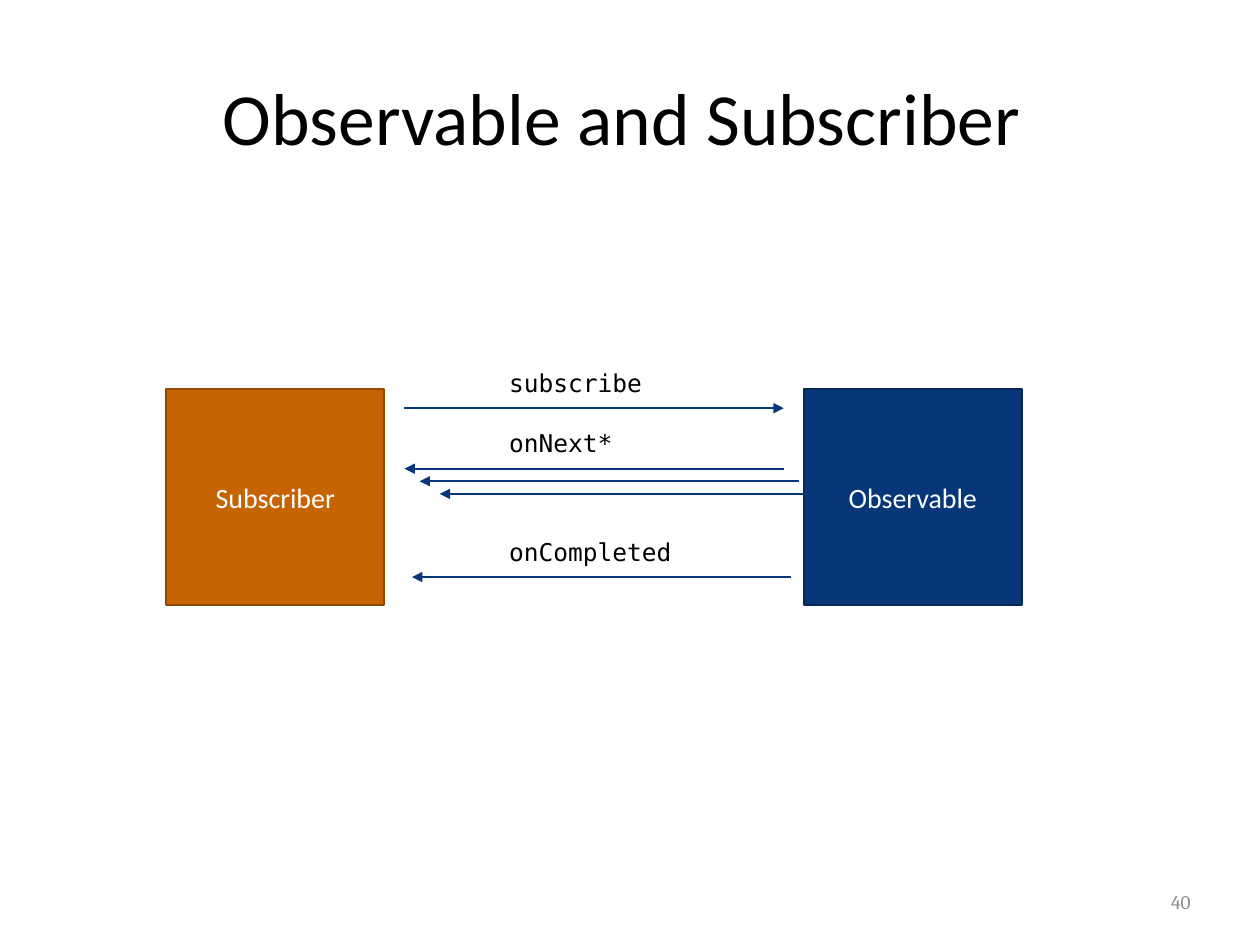
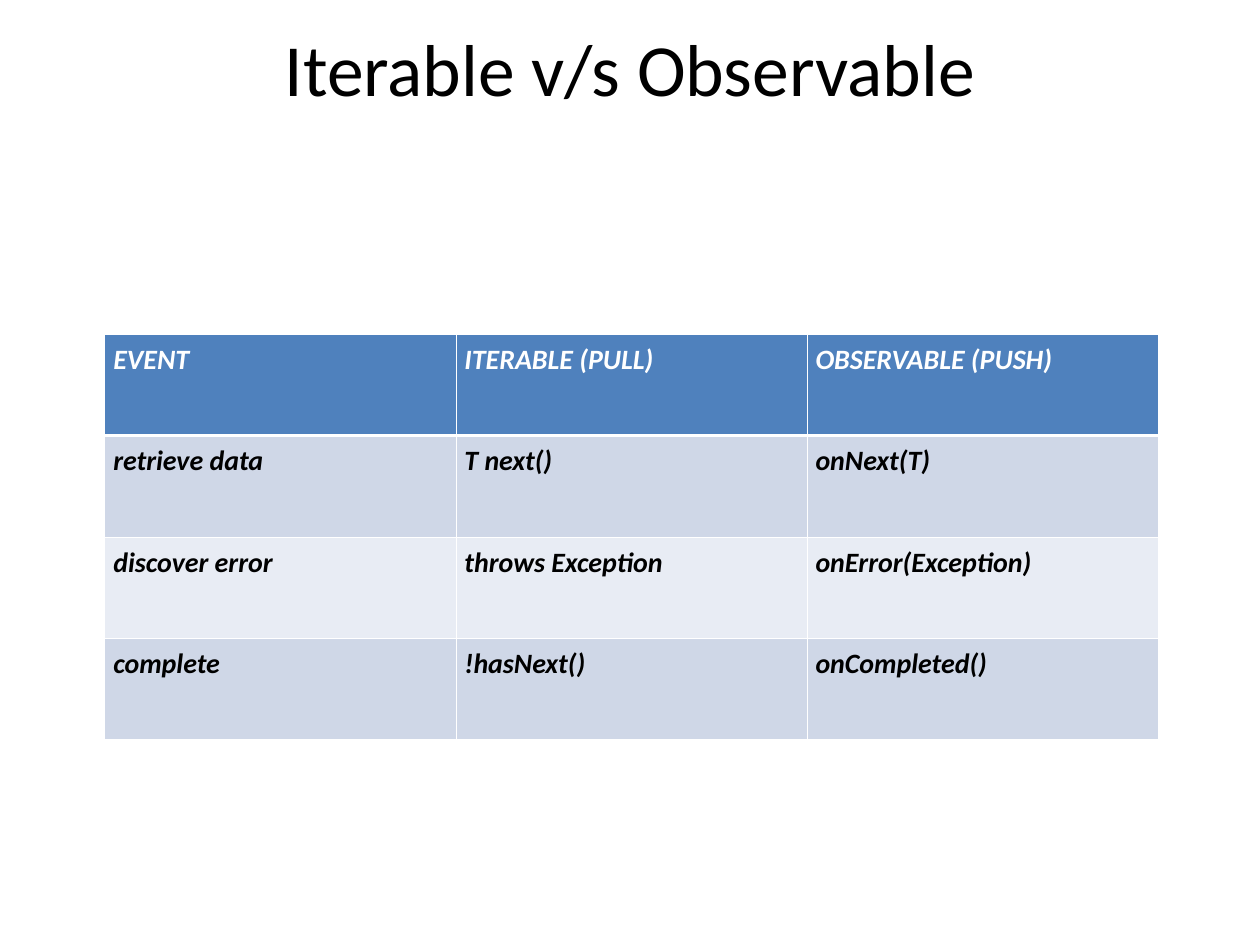
from lxml.etree import SubElement
from pptx import Presentation
from pptx.dml.color import RGBColor
from pptx.enum.shapes import MSO_CONNECTOR, MSO_SHAPE
from pptx.enum.text import MSO_ANCHOR, PP_ALIGN
from pptx.oxml.ns import qn
from pptx.util import Inches, Pt

# Shared look
BLACK, WHITE, GRAY = "000000", "FFFFFF", "888888"
NAVY, NAVY_EDGE = "073779", "052858"
ORANGE, ORANGE_EDGE = "C76402", "914901"
HEADER_BLUE, BAND_DARK, BAND_LIGHT = "4F81BD", "CFD7E7", "E8ECF4"

TITLE_FONT = dict(name="Calibri", size=Pt(42), color=BLACK)
NUMBER_FONT = dict(name="Cambria", size=Pt(11), color=GRAY)
BOX_FONT = dict(name="Calibri", size=Pt(16), color=WHITE)
CALL_FONT = dict(name="DejaVu Sans Mono", size=Pt(14), color=BLACK)
CELL_FONT = dict(name="Calibri", size=Pt(16), bold=True, italic=True)

# Message diagram
BOX_TOP, BOX_WIDTH, BOX_HEIGHT = 3.09, 1.73, 1.71
ARROW_LENGTH = 3.01
CALL_LEFT, CALL_RISE = 3.99, 0.37
# Call name, direction, and (left end, y) of each of its arrows
CALLS = [
    ("subscribe", "right", [(3.21, 3.24)]),
    ("onNext*", "left", [(3.21, 3.72), (3.33, 3.82), (3.49, 3.92)]),
    ("onCompleted", "left", [(3.27, 4.58)]),
]

# Comparison table
EVENTS = [
    ("EVENT", "ITERABLE (PULL)", "OBSERVABLE (PUSH)"),
    ("retrieve data", "T next()", "onNext(T)"),
    ("discover error", "throws Exception", "onError(Exception)"),
    ("complete", "!hasNext()", "onCompleted()"),
]


def rgb(hex_color):
    return RGBColor.from_string(hex_color)


def set_format(target, values):
    for name, value in values.items():
        if name == "color":
            target.color.rgb = rgb(value)
        else:
            setattr(target, name, value)


def set_margins(target, inches):
    sides = ("left", "top", "right", "bottom")
    set_format(target, {f"margin_{side}": Inches(inches) for side in sides})


def write(frame, text, font, align=PP_ALIGN.LEFT):
    paragraph = frame.paragraphs[0]
    paragraph.alignment = align
    run = paragraph.add_run()
    run.text = text
    set_format(run.font, font)


def add_text(slide, box, text, font, align=PP_ALIGN.LEFT,
             anchor=MSO_ANCHOR.MIDDLE, wrap=True):
    frame = slide.shapes.add_textbox(*map(Inches, box)).text_frame
    set_format(frame, dict(word_wrap=wrap, vertical_anchor=anchor))
    set_margins(frame, 0.05)
    write(frame, text, font, align)


def add_title(slide, text, top):
    add_text(slide, (0.5, top, 9, 1.65), text, TITLE_FONT, PP_ALIGN.CENTER)


def add_page_number(slide, number):
    add_text(slide, (7.17, 7.02, 2.33, 0.27), number, NUMBER_FONT, PP_ALIGN.RIGHT)


def add_party(slide, left, name, fill, edge):
    party = slide.shapes.add_shape(
        MSO_SHAPE.RECTANGLE,
        *map(Inches, (left, BOX_TOP, BOX_WIDTH, BOX_HEIGHT)))
    party.shadow.inherit = False
    party.fill.solid()
    party.fill.fore_color.rgb = rgb(fill)
    set_format(party.line, dict(color=edge, width=Pt(1)))
    set_margins(party.text_frame, 0.05)
    write(party.text_frame, name, BOX_FONT, PP_ALIGN.CENTER)


def add_arrow(slide, start, end, y):
    arrow = slide.shapes.add_connector(
        MSO_CONNECTOR.STRAIGHT, *map(Inches, (start, y, end, y)))
    set_format(arrow.line, dict(color=NAVY, width=Pt(1)))
    properties = arrow.line._get_or_add_ln()
    SubElement(properties, qn("a:tailEnd"), type="triangle")
    SubElement(arrow._element.spPr, qn("a:effectLst"))


def add_call(slide, name, direction, arrows):
    for left, y in arrows:
        ends = (left, left + ARROW_LENGTH)
        add_arrow(slide, *(ends if direction == "right" else ends[::-1]), y)
    label_top = arrows[0][1] - CALL_RISE
    add_text(slide, (CALL_LEFT, label_top, 1.4, 0.34), name, CALL_FONT,
             anchor=MSO_ANCHOR.TOP, wrap=False)


def add_cell_borders(cell, widths):
    properties = cell._tc.get_or_add_tcPr()
    for side, points in widths.items():
        border = SubElement(properties, qn(f"a:ln{side}"), w=str(Pt(points)))
        fill = SubElement(border, qn("a:solidFill"))
        SubElement(fill, qn("a:srgbClr"), val=WHITE)


def add_event_table(slide, rows):
    table = slide.shapes.add_table(
        len(rows), len(rows[0]),
        *map(Inches, (0.83, 2.65, 8.36, 3.22))).table
    for r, row in enumerate(rows):
        header = r == 0
        band = HEADER_BLUE if header else BAND_DARK if r % 2 else BAND_LIGHT
        borders = dict(L=0.25, R=0.25, T=2 if r == 1 else 0.25,
                       B=2 if header else 0.25)
        for c, text in enumerate(row):
            cell = table.cell(r, c)
            set_margins(cell, 0.07)
            add_cell_borders(cell, borders)
            cell.fill.solid()
            cell.fill.fore_color.rgb = rgb(band)
            write(cell.text_frame, text,
                  CELL_FONT | dict(color=WHITE if header else BLACK))


def main():
    deck = Presentation()
    deck.slide_width, deck.slide_height = Inches(10), Inches(7.5)
    blank = deck.slide_layouts[6]

    # Messages between subscriber and observable
    messages = deck.slides.add_slide(blank)
    add_title(messages, "Observable and Subscriber ", 0.1)
    add_page_number(messages, "40")
    add_party(messages, 6.38, "Observable", NAVY, NAVY_EDGE)
    add_party(messages, 1.32, "Subscriber", ORANGE, ORANGE_EDGE)
    for call in CALLS:
        add_call(messages, *call)

    # Pull and push compared
    comparison = deck.slides.add_slide(blank)
    add_event_table(comparison, EVENTS)
    add_title(comparison, "Iterable v/s Observable", -0.29)

    deck.save("out.pptx")


if __name__ == "__main__":
    main()
